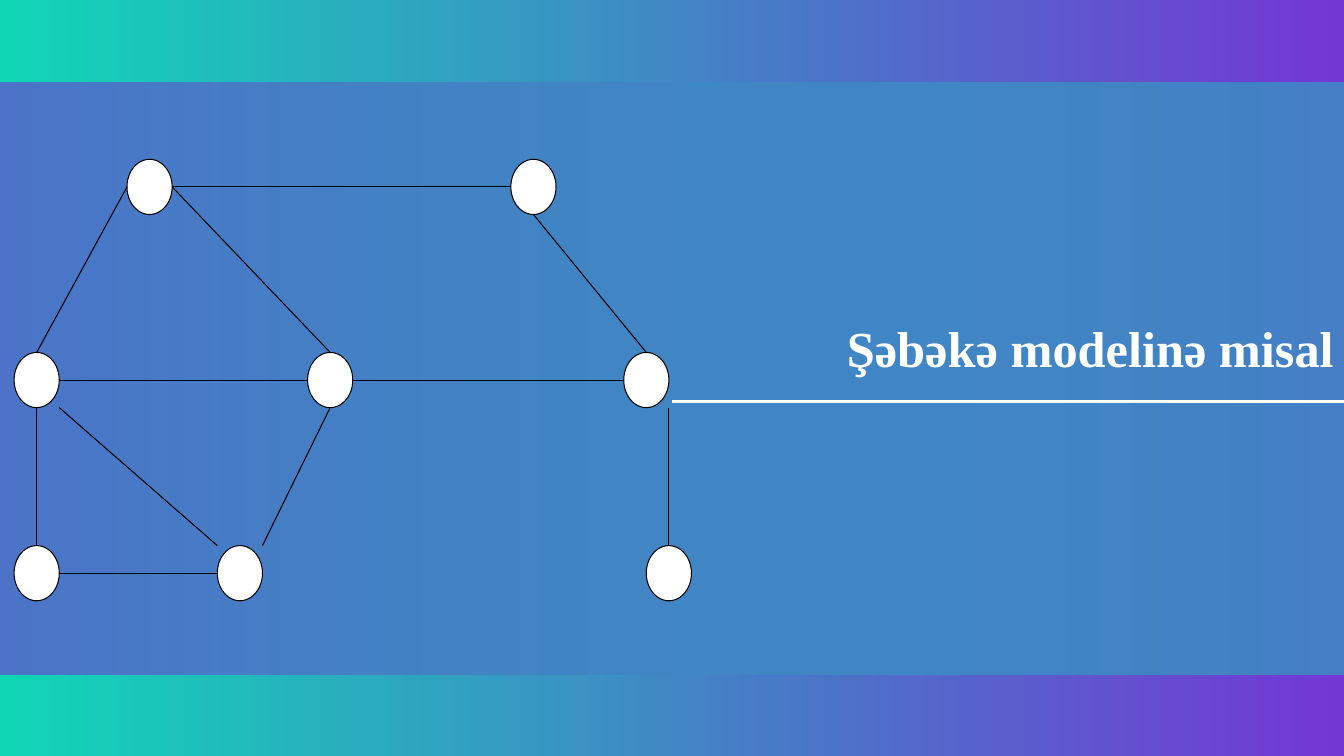
from lxml import etree
from pptx import Presentation
from pptx import util as u
from pptx.dml.color import RGBColor
from pptx.enum import shapes, text
from pptx.oxml.ns import qn

COLORS = {"mint": "10D6B6", "violet": "7337D4", "white": "FFFFFF", "black": "000000"}
TITLE_FONT = {"name": "Times New Roman", "size": u.Pt(36), "bold": True}
TITLE_FRAME = {"word_wrap": False, "auto_size": text.MSO_AUTO_SIZE.SHAPE_TO_FIT_TEXT}

ORIGIN = (1.05, 21.07)
STEP = (1.68, 3.65)
NODE_SPAN = 2
NODES = {
    "A": (5, 0), "B": (22, 0), "C": (27, 7), "D": (13, 7),
    "E": (0, 7), "F": (0, 14), "G": (9, 14), "H": (28, 14),
}
ANCHORS = {
    "nw": (0, 0), "n": (1, 0), "ne": (2, 0), "w": (0, 1),
    "e": (2, 1), "s": (1, 2), "se": (2, 2),
}
LINKS = [
    ("A", "e", "B", "w"), ("A", "w", "E", "n"), ("A", "e", "D", "n"),
    ("E", "e", "D", "w"), ("D", "e", "C", "w"), ("B", "s", "C", "n"),
    ("E", "s", "F", "n"), ("F", "e", "G", "w"), ("D", "s", "G", "ne"),
    ("E", "se", "G", "nw"), ("C", "se", "H", "n"),
]


class NetworkSlide:
    """Draws styled elements on one slide, placed in percent of its size."""

    def __init__(self, deck):
        self.size = (deck.slide_width, deck.slide_height)
        self.slide = deck.slides.add_slide(deck.slide_layouts[6])
        self.network = None

    def lengths(self, *percents):
        return [round(self.size[i % 2] * p / 100) for i, p in enumerate(percents)]

    def color(self, name):
        return RGBColor.from_string(COLORS[name])

    def gradient(self, fill, names):
        fill.gradient()
        fill.gradient_angle = 0
        for stop, name in zip(fill.gradient_stops, names):
            stop.color.rgb = self.color(name)

    def backdrop(self, *names):
        self.gradient(self.slide.background.fill, names)

    def band(self, box, names, opacities):
        band = self.slide.shapes.add_shape(shapes.MSO_SHAPE.RECTANGLE, *self.lengths(*box))
        band.shadow.inherit = False
        band.line.fill.background()
        self.gradient(band.fill, names)
        for tint, opacity in zip(band._element.spPr.iter(qn("a:srgbClr")), opacities):
            etree.SubElement(tint, qn("a:alpha")).set("val", str(opacity * 1000))

    def rule(self, home, start, end, color, width):
        rule = home.shapes.add_connector(
            shapes.MSO_CONNECTOR.STRAIGHT, *self.lengths(*start, *end))
        rule.line.color.rgb = self.color(color)
        rule.line.width = u.Pt(width)
        etree.SubElement(rule._element.spPr, qn("a:effectLst"))

    def title(self, box, wording):
        frame = self.slide.shapes.add_textbox(*self.lengths(*box)).text_frame
        run = frame.paragraphs[0].add_run()
        run.text = wording
        for target, style in ((frame, TITLE_FRAME), (run.font, TITLE_FONT)):
            for key, value in style.items():
                setattr(target, key, value)
        run.font.color.rgb = self.color("white")

    def start_network(self):
        self.network = self.slide.shapes.add_group_shape()

    def grid_point(self, node, anchor="nw"):
        return [o + s * (n + a) for o, s, n, a in
                zip(ORIGIN, STEP, NODES[node], ANCHORS[anchor])]

    def node(self, name):
        extent = [NODE_SPAN * step for step in STEP]
        node = self.network.shapes.add_shape(
            shapes.MSO_SHAPE.OVAL, *self.lengths(*self.grid_point(name), *extent))
        node.shadow.inherit = False
        node.fill.solid()
        node.fill.fore_color.rgb = self.color("white")
        node.line.color.rgb = self.color("black")
        node.line.width = u.Pt(0.75)

    def link(self, source, source_side, target, target_side):
        self.rule(self.network, self.grid_point(source, source_side),
                  self.grid_point(target, target_side), "black", 0.75)


def main():
    deck = Presentation()
    deck.slide_width, deck.slide_height = u.Inches(13.33), u.Inches(7.5)
    page = NetworkSlide(deck)
    page.backdrop("mint", "violet")
    page.band((0, 10.93, 100, 78.27), ("violet", "mint"), (62, 46))
    page.rule(page.slide, (100, 53.07), (50, 53.07), "white", 2.25)
    page.title((62.27, 41.33, 39.08, 9.47), "Şəbəkə modelinə misal")
    page.start_network()
    for name in NODES:
        page.node(name)
    for ends in LINKS:
        page.link(*ends)
    deck.save("out.pptx")


if __name__ == "__main__":
    main()
